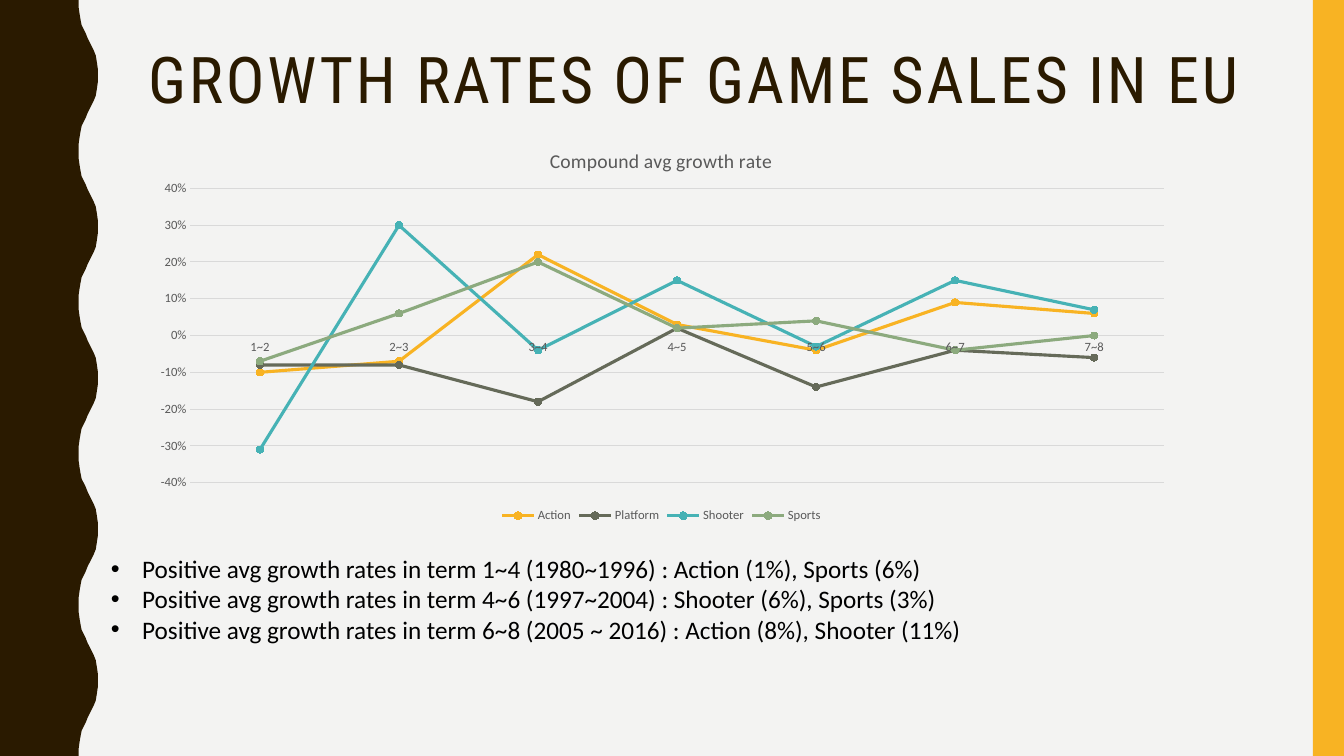
from pptx import Presentation
from pptx.chart.data import CategoryChartData
from pptx.dml.color import RGBColor
from pptx.enum.chart import XL_CHART_TYPE, XL_LEGEND_POSITION, XL_MARKER_STYLE, XL_TICK_MARK
from pptx.enum.shapes import MSO_SHAPE
from pptx.enum.text import MSO_ANCHOR, PP_ALIGN
from pptx.oxml.ns import qn
from pptx.util import Pt
from lxml import etree

PX = 9144  # 100 px to the inch
WIDTH, HEIGHT = 1333, 750

LINE_MARKERS = XL_CHART_TYPE.LINE_MARKERS
BOTTOM = XL_LEGEND_POSITION.BOTTOM
CIRCLE = XL_MARKER_STYLE.CIRCLE
NO_TICK = XL_TICK_MARK.NONE
RECTANGLE = MSO_SHAPE.RECTANGLE
TOP = MSO_ANCHOR.TOP
LEFT = PP_ALIGN.LEFT

PAPER = RGBColor(0xF3, 0xF3, 0xF2)
BROWN = RGBColor(0x2A, 0x1A, 0x00)
AMBER = RGBColor(0xF8, 0xB3, 0x23)
OLIVE = RGBColor(0x65, 0x6A, 0x59)
TEAL = RGBColor(0x46, 0xB2, 0xB5)
SAGE = RGBColor(0x8C, 0xAA, 0x7E)
BLACK = RGBColor(0x00, 0x00, 0x00)
GREY = RGBColor(0x59, 0x59, 0x59)
GRID = RGBColor(0xD9, 0xD9, 0xD9)

TERMS = ["1~2", "2~3", "3~4", "4~5", "5~6", "6~7", "7~8"]
GENRES = [
    ("Action", AMBER, [-0.10, -0.07, 0.22, 0.03, -0.04, 0.09, 0.06]),
    ("Platform", OLIVE, [-0.08, -0.08, -0.18, 0.02, -0.14, -0.04, -0.06]),
    ("Shooter", TEAL, [-0.31, 0.30, -0.04, 0.15, -0.03, 0.15, 0.07]),
    ("Sports", SAGE, [-0.07, 0.06, 0.20, 0.02, 0.04, -0.04, 0.00]),
]
FINDINGS = [
    "Positive avg growth rates in term 1~4 (1980~1996) : Action (1%), Sports (6%)",
    "Positive avg growth rates in term 4~6 (1997~2004) : Shooter (6%), Sports (3%)",
    "Positive avg growth rates in term 6~8 (2005 ~ 2016) : Action (8%), Shooter (11%)",
]
WAVE_PERIOD = 150
HALF_WAVE = [(78, 0), (78, 7), (79, 14), (80, 20), (81, 25), (83, 29), (85, 33), (87, 38),
             (89, 42), (91, 46), (93, 50), (95, 55), (96, 61), (97, 68), (97, 75)]


def style_font(font, size, color, name="Calibri"):
    font.size, font.name, font.bold = Pt(size), name, False
    font.color.rgb = color


def set_layout(parent, index, **settings):
    """Fix the place of a chart part, in fractions of the chart."""
    for old in parent.findall(qn("c:layout")):
        parent.remove(old)
    layout = etree.Element(qn("c:layout"))
    manual = etree.SubElement(layout, qn("c:manualLayout"))
    for key, value in settings.items():
        etree.SubElement(manual, qn("c:" + key)).set("val", str(value))
    parent.insert(index, layout)


prs = Presentation()
prs.slide_width, prs.slide_height = WIDTH * PX, HEIGHT * PX
slide = prs.slides.add_slide(prs.slide_layouts[1])
slide.background.fill.solid()
slide.background.fill.fore_color.rgb = PAPER

# Side bands
half_back = [(x, WAVE_PERIOD - y) for x, y in reversed(HALF_WAVE[1:-1])]
edge = [(x, y + start) for start in range(0, HEIGHT, WAVE_PERIOD)
        for x, y in HALF_WAVE + half_back]
builder = slide.shapes.build_freeform(0, 0, scale=PX)
builder.add_line_segments(edge + [(78, HEIGHT), (0, HEIGHT)], close=True)
wave = builder.convert_to_shape()
stripe = slide.shapes.add_shape(RECTANGLE, 1302 * PX, 0, 31 * PX, HEIGHT * PX)
for band, color in ((wave, BROWN), (stripe, AMBER)):
    band.shadow.inherit = False
    band.fill.solid()
    band.fill.fore_color.rgb = color
    band.line.fill.background()

# Title and findings
heading = slide.shapes.title
findings = slide.placeholders[1]
for holder, box in ((heading, (137, 42, 1113, 163)), (findings, (100, 544, 883, 101))):
    holder.left, holder.top, holder.width, holder.height = [n * PX for n in box]
    holder.text_frame.vertical_anchor = TOP
    holder.text_frame.word_wrap = True

heading.text_frame.text = "GROWTH RATES OF GAME SALES IN EU"
heading_line = heading.text_frame.paragraphs[0]
heading_line.alignment = LEFT
heading_line.line_spacing = 0.9
style_font(heading_line.runs[0].font, 46, BROWN, "Roboto Condensed")
heading_line.runs[0].font._element.set("spc", "200")

findings.text_frame.text = "\n".join(FINDINGS)
for finding in findings.text_frame.paragraphs:
    finding.alignment = LEFT
    finding.space_before = finding.space_after = Pt(0)
    finding.line_spacing = 1.0
    style_font(finding.runs[0].font, 18, BLACK)
    properties = finding._p.get_or_add_pPr()
    properties.set("marL", str(31 * PX))
    properties.set("indent", str(-31 * PX))
    etree.SubElement(properties, qn("a:buFont")).set("typeface", "Arial")
    etree.SubElement(properties, qn("a:buChar")).set("char", "•")

# Growth chart
growth = CategoryChartData(number_format="0%")
growth.categories = TERMS
for genre, _, rates in GENRES:
    growth.add_series(genre, rates)
chart = slide.shapes.add_chart(
    LINE_MARKERS, 137 * PX, 123 * PX, 1038 * PX, 400 * PX, growth).chart
style_font(chart.font, 10, BLACK)

chart.has_title = True
caption = chart.chart_title
caption.text_frame.text = "Compound avg growth rate"
style_font(caption.text_frame.paragraphs[0].runs[0].font, 14, GREY)
set_layout(caption._element, 1, xMode="edge", yMode="edge", x=0.39, y=0.05)
set_layout(chart._chartSpace.chart.plotArea, 0, layoutTarget="inner",
           xMode="edge", yMode="edge", x=0.05, y=0.16, w=0.93, h=0.73)

chart.has_legend = True
chart.legend.position = BOTTOM
chart.legend.include_in_layout = False
style_font(chart.legend.font, 9, GREY)

terms, rates_axis = chart.category_axis, chart.value_axis
for axis in (terms, rates_axis):
    axis.major_tick_mark = axis.minor_tick_mark = NO_TICK
    style_font(axis.tick_labels.font, 9, GREY)
rates_axis.minimum_scale, rates_axis.maximum_scale, rates_axis.major_unit = -0.4, 0.4, 0.1
rates_axis.tick_labels.number_format = "0%"
rates_axis.tick_labels.number_format_is_linked = False
rates_axis.format.line.fill.background()
for line in (terms.format.line, rates_axis.major_gridlines.format.line):
    line.color.rgb = GRID
    line.width = Pt(0.75)

chart.plots[0].vary_by_categories = False
for series, (_, color, _) in zip(chart.plots[0].series, GENRES):
    series.smooth = False
    series.format.line.color.rgb = color
    series.format.line.width = Pt(2.25)
    series.marker.style = CIRCLE
    series.marker.size = 5
    series.marker.format.fill.solid()
    series.marker.format.fill.fore_color.rgb = color
    series.marker.format.line.color.rgb = color

prs.save("out.pptx")
